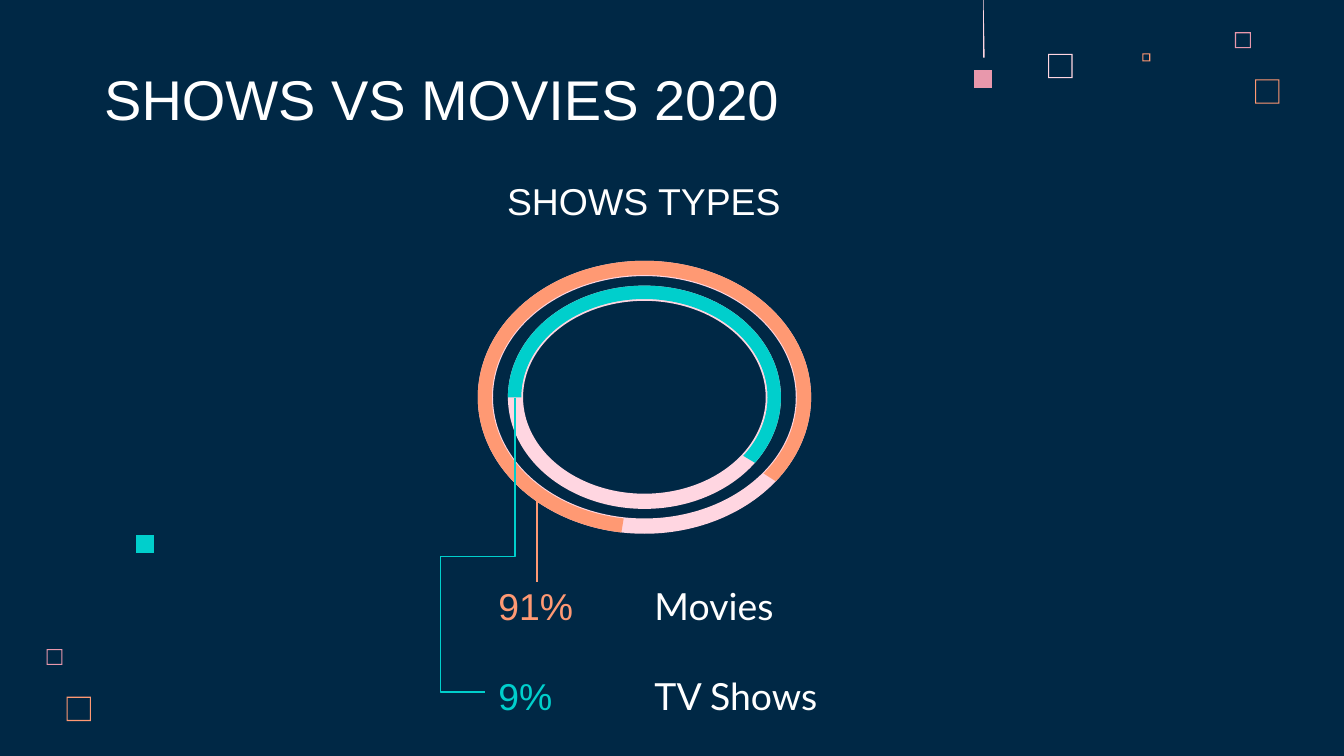
from lxml import etree
from pptx import Presentation
from pptx.dml.color import RGBColor
from pptx.enum.shapes import MSO_CONNECTOR, MSO_SHAPE
from pptx.enum.text import MSO_ANCHOR, MSO_AUTO_SIZE, PP_ALIGN
from pptx.oxml.ns import qn
from pptx.util import Cm, Pt

BLOCK_ARC = MSO_SHAPE.BLOCK_ARC
DONUT = MSO_SHAPE.DONUT
STRAIGHT = MSO_CONNECTOR.STRAIGHT
ELBOW = MSO_CONNECTOR.ELBOW
TOP = MSO_ANCHOR.TOP
BOTTOM = MSO_ANCHOR.BOTTOM
LEFT = PP_ALIGN.LEFT
CENTER = PP_ALIGN.CENTER
NO_AUTOFIT = MSO_AUTO_SIZE.NONE

COLORS = {
    "navy": "002845",
    "white": "FFFFFF",
    "blush": "FFD6E1",
    "pink": "E898AC",
    "orange": "FF9973",
    "teal": "00CFCC",
}
FRAMES = [
    (19.81, 1.02, 0.46, "blush"),
    (23.34, 0.61, 0.3, "pink"),
    (21.59, 1.01, 0.15, "orange"),
    (23.72, 1.5, 0.46, "orange"),
    (0.88, 12.27, 0.3, "pink"),
    (1.26, 13.17, 0.46, "orange"),
]
SQUARES = [(18.41, 1.32, "pink"), (2.57, 10.11, "teal")]
SQUARE_SIZE = 0.34
FRAME_BORDER = 0.02
RING_CENTER = (12.18, 7.51)
RINGS = [
    ((3.15, 2.58), 0.056, "orange", (59.81, 19.57, 0.052)),
    ((2.58, 2.11), 0.068, "teal", (108, 18.4, 0.06)),
]
LEGEND = [("91%", "Movies", "orange", 4.52), ("9%", "TV Shows", "teal", 4.98)]
LEGEND_TOP = 10.78
LEGEND_STEP = 1.7
TEXT_HEIGHT = 1.19


def color(name):
    return RGBColor.from_string(COLORS[name])


def paint(shape, color_name):
    shape.shadow.inherit = False
    shape.fill.solid()
    shape.fill.fore_color.rgb = color(color_name)
    shape.line.fill.background()


def add_outline(slide, contours, color_name):
    lengths = [[(Cm(x), Cm(y)) for x, y in contour] for contour in contours]
    builder = slide.shapes.build_freeform(*lengths[0][0], scale=1.0)
    for index, points in enumerate(lengths):
        if index:
            builder.move_to(*points[0])
        builder.add_line_segments(points[1:], close=True)
    paint(builder.convert_to_shape(), color_name)


def square_points(left, top, size):
    right, bottom = left + size, top + size
    return [(left, top), (right, top), (right, bottom), (left, bottom)]


def add_frame(slide, left, top, size, color_name):
    outer = square_points(left, top, size)
    inner = square_points(left + FRAME_BORDER, top + FRAME_BORDER, size - 2 * FRAME_BORDER)
    add_outline(slide, [outer, inner[::-1]], color_name)


def add_ring_shape(slide, kind, radii, color_name, adjustments):
    left, top = (middle - radius for middle, radius in zip(RING_CENTER, radii))
    shape = slide.shapes.add_shape(
        kind, Cm(left), Cm(top), Cm(2 * radii[0]), Cm(2 * radii[1])
    )
    for index, value in enumerate(adjustments):
        shape.adjustments[index] = value
    paint(shape, color_name)


def format_text(shape, text, size, font, color_name, alignment=LEFT, anchor=TOP):
    frame = shape.text_frame
    frame.text = text
    frame.word_wrap = True
    frame.auto_size = NO_AUTOFIT
    frame.vertical_anchor = anchor
    frame.margin_left = frame.margin_right = Cm(0.25)
    frame.margin_top = frame.margin_bottom = Cm(0.25)
    paragraph = frame.paragraphs[0]
    paragraph.alignment = alignment
    paragraph.line_spacing = 1.0
    paragraph.space_before = Pt(0)
    run = paragraph.runs[0]
    run.font.size = Pt(size)
    run.font.name = font
    run.font.color.rgb = color(color_name)


def add_title(slide, text):
    title = slide.shapes.title
    title.left, title.top = Cm(1.72), Cm(1.14)
    title.width, title.height = Cm(17.09), Cm(1.6)
    format_text(title, text, 30, "Arial", "white", anchor=BOTTOM)


def add_label(slide, text, left, top, width, font, color_name, alignment=LEFT):
    shape = slide.shapes.add_textbox(Cm(left), Cm(top), Cm(width), Cm(TEXT_HEIGHT))
    format_text(shape, text, 20, font, color_name, alignment)


def add_leader(slide, kind, start, end, color_name):
    points = [Cm(value) for value in (*start, *end)]
    connector = slide.shapes.add_connector(kind, *points)
    connector.line.color.rgb = color(color_name)
    connector.line.width = Pt(0.75)
    etree.SubElement(connector.element.spPr, qn("a:effectLst"))
    return connector


def bend_leader(connector, adjustments):
    properties = connector.element.spPr
    properties.find(qn("a:xfrm")).set("rot", str(90 * 60000))
    geometry = properties.find(qn("a:prstGeom"))
    geometry.set("prst", "bentConnector4")
    values = geometry.find(qn("a:avLst"))
    for index, value in enumerate(adjustments, 1):
        guide = etree.SubElement(values, qn("a:gd"))
        guide.set("name", f"adj{index}")
        guide.set("fmla", f"val {round(value * 100000)}")


def main():
    presentation = Presentation()
    presentation.slide_width = Cm(25.4)
    presentation.slide_height = Cm(14.29)
    slide = presentation.slides.add_slide(presentation.slide_layouts[5])
    slide.background.fill.solid()
    slide.background.fill.fore_color.rgb = color("navy")

    for frame in FRAMES:
        add_frame(slide, *frame)
    for left, top, color_name in SQUARES:
        add_outline(slide, [square_points(left, top, SQUARE_SIZE)], color_name)
    add_outline(slide, [[(18.58, -0.46), (18.58, 1.09), (18.61, 1.09)]], "blush")

    add_title(slide, "SHOWS VS MOVIES 2020")
    for radii, thickness, _, _ in RINGS:
        add_ring_shape(slide, DONUT, radii, "blush", [thickness])
    for radii, _, color_name, adjustments in RINGS:
        add_ring_shape(slide, BLOCK_ARC, radii, color_name, adjustments)

    for index, (share, category, color_name, width) in enumerate(LEGEND):
        top = LEGEND_TOP + index * LEGEND_STEP
        add_label(slide, share, 9.17, top, 3.18, "Arial", color_name)
        add_label(slide, category, 12.12, top, width, "Lato", "white")

    shows_leader = add_leader(slide, ELBOW, (6.67, 10.02), (12.23, 10.58), "teal")
    bend_leader(shows_leader, (0.54, 2.5))
    add_leader(slide, STRAIGHT, (10.15, 11), (10.15, 9.4), "orange")
    add_label(slide, "SHOWS TYPES", 8.64, 3.12, 7.06, "Arial", "white", CENTER)

    presentation.save("out.pptx")


if __name__ == "__main__":
    main()
